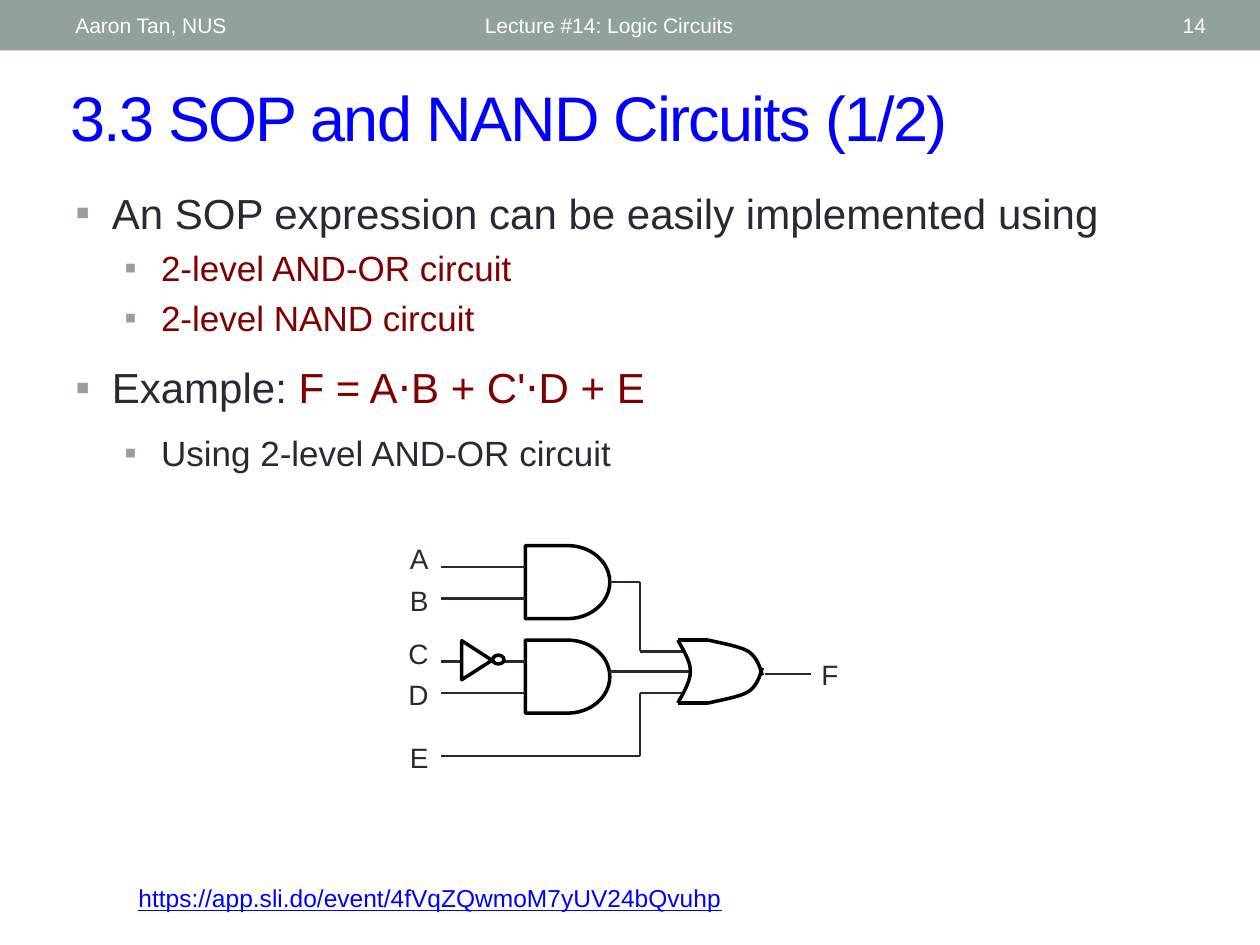
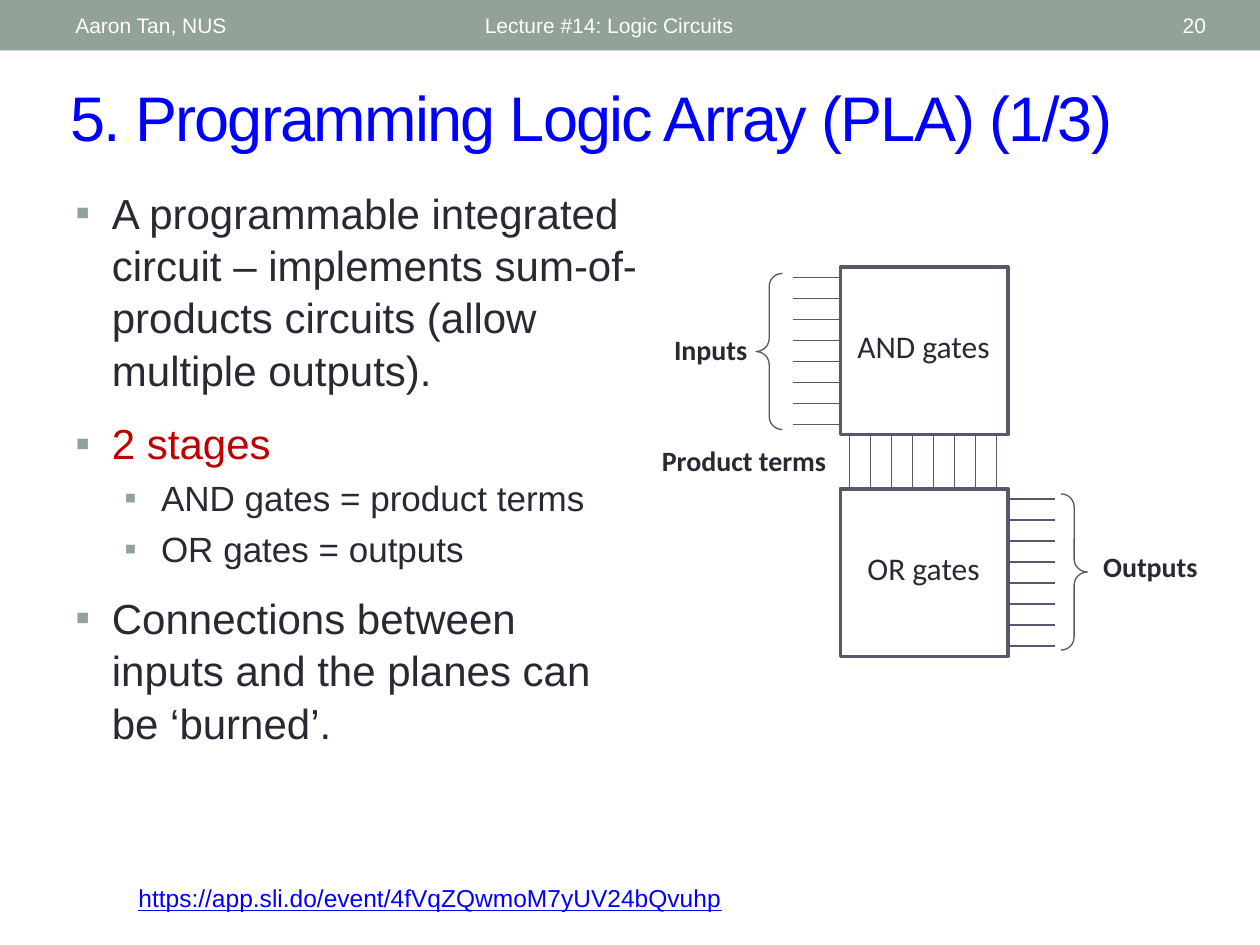
from dataclasses import dataclass
from lxml.etree import SubElement
from pptx import Presentation
from pptx.dml.color import RGBColor
from pptx.enum.shapes import MSO_CONNECTOR as Link, MSO_SHAPE as Shape
from pptx.enum.text import MSO_ANCHOR as Anchor, PP_ALIGN as Align
from pptx.oxml.ns import qn
from pptx.util import Inches, Pt


@dataclass(frozen=True)
class Theme:
    band: str = "93A299"
    blue: str = "0000FF"
    ink: str = "292934"
    maroon: str = "800000"
    red: str = "C00000"
    slate: str = "57576E"
    white: str = "FFFFFF"
    black: str = "000000"
    font: str = "Arial"
    label: str = "Calibri"
    title: int = 36
    body: tuple = (24, 20)
    box: int = 18
    mark: int = 16
    link: int = 14
    head: int = 12
    thin: float = 0.75
    wire: float = 1.5
    gate: float = 2


T = Theme()


def bezier(points, steps=12):
    """Sample a chain of cubic curves that share their end points."""
    path = [points[0]]
    for k in range(0, len(points) - 1, 3):
        a, b, c, d = points[k:k + 4]
        for i in range(1, steps + 1):
            t = i / steps
            u = 1 - t
            path.append(tuple(u**3 * p + 3 * u * u * t * q + 3 * u * t * t * r + t**3 * s
                              for p, q, r, s in zip(a, b, c, d)))
    return path


class Deck:
    def __init__(self):
        self.prs = Presentation()
        self.prs.slide_width, self.prs.slide_height = Inches(10), Inches(7.5)

    def start(self, title, number):
        """Open a slide with its band, header, title and link."""
        self.slide = self.prs.slides.add_slide(self.prs.slide_layouts[6])
        self.shapes = self.slide.shapes
        self.shape(Shape.RECTANGLE, 0, 0, 10, 0.4, fill=T.band)
        self.text("https://app.sli.do/event/4fVqZQwmoM7yUV24bQvuhp", 1, 6.96, 7.72, 0.34,
                  size=T.link, color=T.blue, under=True)
        self.text(title, 0.46, 0.57, 9.07, 0.7, size=T.title, color=T.blue,
                  anchor=Anchor.MIDDLE, track=-100)
        for words, x, w, align in (("Lecture #14: Logic Circuits", 3.75, 4.5, Align.LEFT),
                                   (str(number), 8.72, 0.95, Align.RIGHT),
                                   ("Aaron Tan, NUS", 0.5, 3.17, Align.LEFT)):
            self.text(words, x, 0.02, w, 0.36, size=T.head, color=T.white,
                      align=align, anchor=Anchor.MIDDLE)

    def frame(self, x, y, w, h, anchor=Anchor.TOP):
        frame = self.shapes.add_textbox(Inches(x), Inches(y), Inches(w), Inches(h)).text_frame
        frame.word_wrap = True
        frame.vertical_anchor = anchor
        return frame

    def run(self, para, words, size, color, font=T.font, bold=False, under=False, track=0):
        run = para.add_run()
        run.text = words
        run.font.name, run.font.size = font, Pt(size)
        run.font.bold, run.font.underline = bold, under
        run.font.color.rgb = RGBColor.from_string(color)
        if track:
            run._r.get_or_add_rPr().set("spc", str(track))

    def text(self, words, x, y, w, h, align=Align.LEFT, anchor=Anchor.TOP, **style):
        para = self.frame(x, y, w, h, anchor).paragraphs[0]
        para.alignment = align
        self.run(para, words, **style)

    def bullets(self, items, x, y, w, h):
        """Each item is a level, a gap as a share of its type size, and (words, color) runs."""
        frame = self.frame(x, y, w, h)
        for i, (level, gap, *runs) in enumerate(items):
            para = frame.add_paragraph() if i else frame.paragraphs[0]
            size = T.body[level]
            para.level = level
            para.line_spacing = 1.04
            para.space_before = Pt(size * gap if i else 0)
            props = para._p.get_or_add_pPr()
            props.set("marL", str(Inches((0.29, 0.68)[level])))
            props.set("indent", str(Inches(-0.29)))
            SubElement(SubElement(props, qn("a:buClr")), qn("a:srgbClr")).set("val", T.band)
            SubElement(props, qn("a:buFont")).set("typeface", T.font)
            SubElement(props, qn("a:buChar")).set("char", "▪")
            for words, color in runs:
                self.run(para, words, size, color)

    def paint(self, shape, fill, line, width):
        shape.shadow.inherit = False
        if fill:
            shape.fill.solid()
            shape.fill.fore_color.rgb = RGBColor.from_string(fill)
        else:
            shape.fill.background()
        if line:
            shape.line.color.rgb = RGBColor.from_string(line)
            shape.line.width = Pt(width)
        else:
            shape.line.fill.background()
        return shape

    def shape(self, kind, x, y, w, h, fill=None, line=None, width=T.gate):
        shape = self.shapes.add_shape(kind, Inches(x), Inches(y), Inches(w), Inches(h))
        return self.paint(shape, fill, line, width)

    def line(self, x1, y1, x2, y2, color=T.ink, width=T.wire):
        line = self.shapes.add_connector(Link.STRAIGHT, *map(Inches, (x1, y1, x2, y2)))
        line.line.color.rgb = RGBColor.from_string(color)
        line.line.width = Pt(width)
        SubElement(line._element.spPr, qn("a:effectLst"))
        return line

    def curve(self, *points):
        path = [(Inches(x), Inches(y)) for x, y in bezier(points)]
        pen = self.shapes.build_freeform(*path[0], scale=1.0)
        pen.add_line_segments(path[1:], close=False)
        self.paint(pen.convert_to_shape(), None, T.black, T.gate)

    def brace(self, kind, x, y):
        shape = self.shape(kind, x, y, 0.21, 1.24, line=T.slate, width=T.thin)
        shape.adjustments[0], shape.adjustments[1] = 0.494, 0.5

    def block(self, words, y):
        """Square block of gates with its name."""
        self.shape(Shape.RECTANGLE, 6.67, y, 1.33, 1.33, T.white, T.slate, 2.08)
        self.text(words, 6.62, y + 0.43, 1.42, 0.4, align=Align.CENTER,
                  size=T.box, color=T.ink, font=T.label)

    def label(self, words, x, y, w, align=Align.CENTER, font=T.label, bold=True):
        self.text(words, x, y, w, 0.37, align=align, size=T.mark, color=T.ink,
                  font=font, bold=bold)


def draw_circuit(deck):
    for name, y in zip("ABCDE", (4.25, 4.58, 5, 5.33, 5.83)):
        deck.label(name, 3.08, y, 0.42, Align.RIGHT, T.font, False)
    deck.label("F", 6.42, 5.17, 0.48, Align.LEFT, T.font, False)

    top, low = [deck.shape(Shape.FLOWCHART_DELAY, 4.17, y, 0.67, 0.58, line=T.black)
                for y in (4.33, 5.08)]
    for y in (4.5, 4.75, 5.25, 5.5):
        deck.line(3.5, y, 4.17, y)
    deck.line(4.83, 4.62, 5.08, 4.62).begin_connect(top, 3)
    for wire in ((5.08, 4.62, 5.08, 5.17), (5.08, 5.17, 5.42, 5.17),
                 (4.83, 5.33, 5.48, 5.33), (5.08, 5.5, 5.42, 5.5),
                 (5.08, 5.5, 5.08, 6), (3.5, 6, 5.08, 6), (6.07, 5.35, 6.44, 5.35)):
        deck.line(*wire)

    # OR gate
    deck.curve((5.38, 5.08), (5.43, 5.17), (5.48, 5.25), (5.48, 5.33),
               (5.48, 5.42), (5.4, 5.54), (5.38, 5.58))
    edge = (5.62, 5.08), (5.75, 5.11), (5.87, 5.13), (5.94, 5.17), (6.01, 5.22), (6.03, 5.29), (6.05, 5.36)
    deck.curve(*edge)
    deck.curve(*((x, 10.66 - y) for x, y in edge))
    for y in (5.08, 5.58):
        deck.line(5.38, y, 5.62, y, T.black, T.gate)

    # Inverter
    deck.shape(Shape.FLOWCHART_MERGE, 3.63, 5.12, 0.31, 0.24, T.white, T.black).rotation = 270
    deck.shape(Shape.OVAL, 3.91, 5.2, 0.09, 0.07, T.white, T.black)


def draw_array(deck):
    deck.block("AND gates", 2.12)
    deck.block("OR gates", 3.88)
    for i in range(8):
        step = i / 6
        for wire in ((6.29, 2.2 + step, 6.67, 2.2 + step),
                     (6.74 + step, 3.88, 6.74 + step, 3.46),
                     (7.99, 3.96 + step, 8.37, 3.96 + step)):
            deck.line(*wire, T.slate, T.thin)
    deck.brace(Shape.LEFT_BRACE, 6, 2.17)
    deck.brace(Shape.RIGHT_BRACE, 8.42, 3.92)
    deck.label("Inputs", 5.2, 2.59, 0.88)
    deck.label("Product terms", 5.06, 3.47, 1.69)
    deck.label("Outputs", 8.59, 4.31, 1.08)


def main():
    deck = Deck()
    deck.start("3.3 SOP and NAND Circuits (1/2)", 14)
    deck.bullets([
        (0, 0.2, ("An SOP expression can be easily implemented using", T.ink)),
        (1, 0.2, ("2-level AND-OR circuit", T.maroon)),
        (1, 0.2, ("2-level NAND circuit", T.maroon)),
        (0, 0.5, ("Example:", T.ink), (" F = A⋅B + C'⋅D + E", T.maroon)),
        (1, 0.5, ("Using 2-level AND-OR circuit", T.ink)),
    ], 0.5, 1.42, 9, 2.63)
    draw_circuit(deck)

    deck.start("5. Programming Logic Array (PLA) (1/3)", 20)
    deck.bullets([
        (0, 0.2, ("A programmable integrated circuit – implements sum-of-products "
                  "circuits (allow multiple outputs).", T.ink)),
        (0, 0.5, ("2 stages", T.red)),
        (1, 0.2, ("AND gates = product terms", T.ink)),
        (1, 0.2, ("OR gates = outputs", T.ink)),
        (0, 0.5, ("Connections between inputs and the planes can be ‘burned’.", T.ink)),
    ], 0.5, 1.42, 4.67, 5.29)
    draw_array(deck)
    deck.prs.save("out.pptx")


if __name__ == "__main__":
    main()
